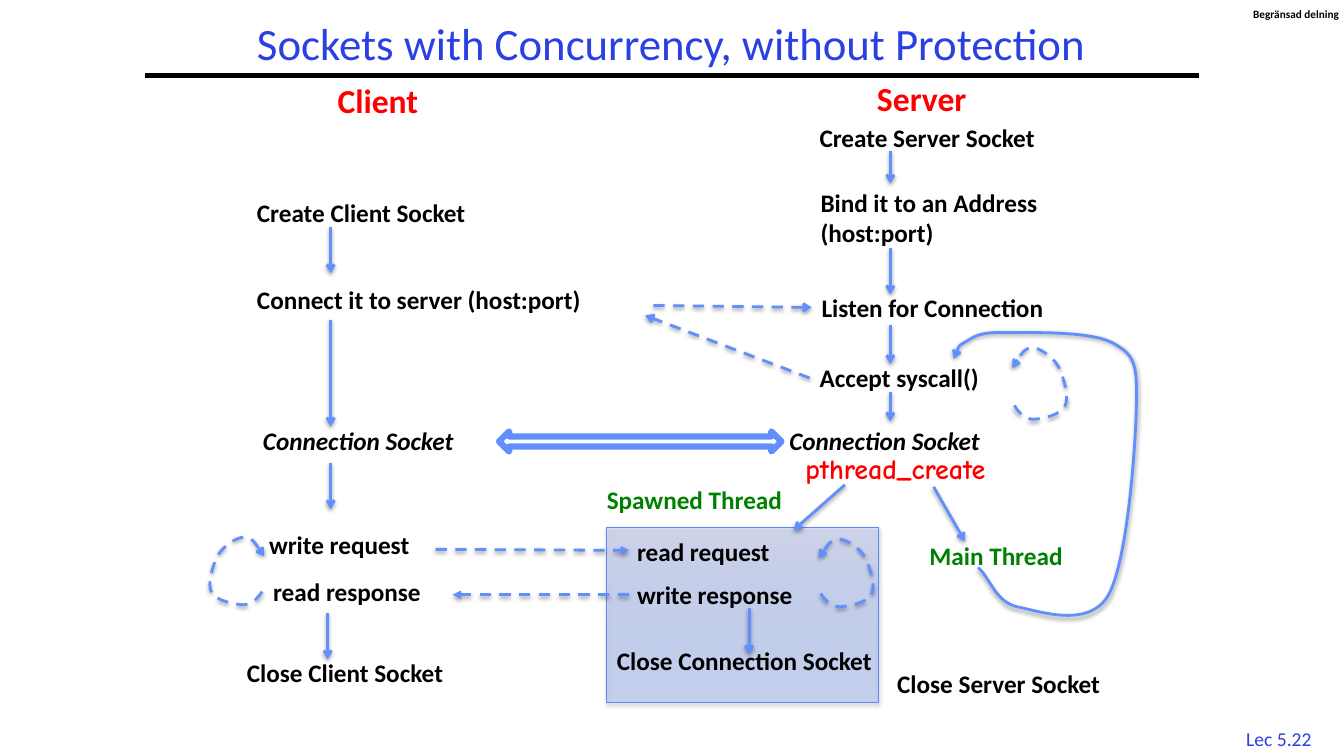
from lxml import etree
from pptx import Presentation
from pptx.dml.color import RGBColor
from pptx.enum.dml import MSO_LINE
from pptx.enum.shapes import MSO_CONNECTOR, MSO_SHAPE
from pptx.enum.text import MSO_ANCHOR, MSO_AUTO_SIZE, PP_ALIGN
from pptx.oxml.ns import qn
from pptx.util import Emu, Pt

PX = 9144
STRAIGHT = MSO_CONNECTOR.STRAIGHT
RECTANGLE = MSO_SHAPE.RECTANGLE
DOUBLE_ARROW = MSO_SHAPE.LEFT_RIGHT_ARROW
DASH = MSO_LINE.DASH
MIDDLE, TOP = MSO_ANCHOR.MIDDLE, MSO_ANCHOR.TOP
LEFT, CENTER = PP_ALIGN.LEFT, PP_ALIGN.CENTER
GROW, FIXED = MSO_AUTO_SIZE.SHAPE_TO_FIT_TEXT, MSO_AUTO_SIZE.NONE

BLACK, WHITE, RED, GREEN = "000000", "FFFFFF", "FF0000", "008000"
TITLE_BLUE, ARROW_BLUE = "2A40E2", "618FFD"
LOOP_WIDTH, LOOP_HEIGHT = 54, 67
LOOP_CURVE = [(2, 54), (6, 60), (11, 66), (20, 67), (28, 67), (48, 63), (52, 55),
              (57, 47), (51, 28), (46, 18), (40, 8), (27, 0), (20, 0),
              (12, 0), (6, 10), (0, 19)]
ACCEPT_AGAIN_CURVE = [
    (970, 563), (982, 573), (987, 597), (1009, 602), (1030, 606), (1079, 624), (1099, 591),
    (1118, 558), (1126, 447), (1127, 406), (1128, 364), (1127, 353), (1105, 341),
    (1084, 328), (1021, 330), (997, 330), (972, 329), (966, 334), (958, 339),
    (950, 343), (948, 350), (946, 356)]

STEPS = [
    ("Create Client Socket", 245, 191, 266, {}),
    ("Connect it to server (host:port)", 245, 277, 392, {}),
    ("Connection Socket", 251, 417, 249, {"italic": True}),
    ("write request", 257, 520, 177, {}),
    ("read response", 261, 567, 191, {}),
    ("Close Client Socket", 235, 647, 257, {}),
    ("Create Server Socket", 803, 116, 274, {}),
    ("Bind it to an Address\n(host:port)", 804, 181, 280, {"height": 71}),
    ("Listen for Connection", 805, 285, 280, {}),
    ("Accept syscall()", 803, 355, 213, {}),
    ("Connection Socket", 773, 417, 249, {"italic": True}),
    ("read request", 622, 527, 177, {}),
    ("write response", 622, 570, 199, {}),
    ("Close Connection Socket", 602, 635, 294, {"height": 71, "wrap": True}),
    ("Close Server Socket", 880, 658, 270, {}),
    ("Spawned Thread", 592, 476, 222, {"color": GREEN}),
    ("Main Thread", 912, 531, 169, {"color": GREEN}),
]
DOWN_ARROWS = [
    (328, 225, 271), (328, 317, 423), (328, 459, 505), (325, 608, 654),
    (883, 150, 182), (883, 246, 292), (883, 322, 361), (883, 389, 418), (743, 603, 649),
]
THREAD_ARROWS = [(838, 481, 787, 526), (926, 483, 957, 537)]
MESSAGES = [
    (648, 303, 805, 305, "arrow"), (803, 375, 640, 313, "arrow"),
    (432, 545, 624, 546, "triangle"), (624, 590, 449, 590, "triangle"),
]


def px(*lengths):
    return [Emu(round(length * PX)) for length in lengths]


def rgb(color):
    return RGBColor.from_string(color)


def add_shadow(shape, alpha=38, distance=1.6):
    effects = etree.SubElement(shape._element.spPr, qn("a:effectLst"))
    shadow = etree.SubElement(effects, qn("a:outerShdw"), blurRad=str(Pt(3.1)),
                              dist=str(Pt(distance)), dir="5400000", rotWithShape="0")
    color = etree.SubElement(shadow, qn("a:srgbClr"), val=BLACK)
    etree.SubElement(color, qn("a:alpha"), val=str(alpha * 1000))


def style_line(shape, color, width, dashed=False, arrow=None):
    shape.line.color.rgb = rgb(color)
    shape.line.width = Pt(width)
    if dashed:
        shape.line.dash_style = DASH
    if arrow:
        outline = shape._element.spPr.find(qn("a:ln"))
        etree.SubElement(outline, qn("a:tailEnd"), type=arrow)


def add_text(page, text, left, top, width, height=40, size=18, color=BLACK, bold=True,
             italic=False, font="Calibri", wrap=False, align=LEFT, anchor=TOP,
             auto_size=GROW, inset=True, spacing=None):
    box = page.shapes.add_textbox(*px(left, top, width, height))
    frame = box.text_frame
    frame.word_wrap = wrap
    frame.auto_size = auto_size
    frame.vertical_anchor = anchor
    if not inset:
        frame.margin_left = frame.margin_right = frame.margin_top = frame.margin_bottom = 0
    for index, line in enumerate(text.split("\n")):
        para = frame.add_paragraph() if index else frame.paragraphs[0]
        para.alignment = align
        para.line_spacing = spacing
        span = para.add_run()
        span.text = line
        span.font.name = font
        span.font.size = Pt(size)
        span.font.bold = bold
        span.font.italic = italic
        span.font.color.rgb = rgb(color)


def add_line(page, start_x, start_y, end_x, end_y, color=ARROW_BLUE, width=2,
             dashed=False, arrow="arrow", shadow=True):
    line = page.shapes.add_connector(STRAIGHT, *px(start_x, start_y, end_x, end_y))
    style_line(line, color, width, dashed, arrow)
    if shadow:
        add_shadow(line)
    else:
        etree.SubElement(line._element.spPr, qn("a:effectLst"))


def add_curve(page, controls, dashed=False):
    points = [px(*point) for point in controls]
    builder = page.shapes.build_freeform(*points[0], scale=1.0)
    builder.add_line_segments(points[3::3], close=False)
    curve = builder.convert_to_shape()
    segments = curve._element.spPr.findall(".//" + qn("a:lnTo"))
    for index, segment in enumerate(segments):
        bend = etree.Element(qn("a:cubicBezTo"))
        for x, y in points[3 * index + 1:3 * index + 4]:
            etree.SubElement(bend, qn("a:pt"), x=str(x - curve.left), y=str(y - curve.top))
        segment.getparent().replace(segment, bend)
    curve.fill.background()
    style_line(curve, ARROW_BLUE, 2, dashed, "arrow")
    add_shadow(curve)


def add_loop(page, left, top, height=LOOP_HEIGHT, mirrored=False):
    controls = [(left + (LOOP_WIDTH - x if mirrored else x), top + y * height / LOOP_HEIGHT)
                for x, y in LOOP_CURVE]
    add_curve(page, controls, dashed=True)


def add_thread_panel(page):
    panel = page.shapes.add_shape(RECTANGLE, *px(602, 523, 269, 174))
    panel.fill.gradient()
    panel.fill.gradient_angle = 90
    nodes = panel._element.spPr.findall(".//" + qn("a:gs"))
    stops = panel.fill.gradient_stops
    for stop, node, color, alpha in zip(stops, nodes, ("5F8EFF", "C4D0FF"), (26, 46)):
        stop.color.rgb = rgb(color)
        etree.SubElement(node[0], qn("a:alpha"), val=str(alpha * 1000))
    style_line(panel, "5B8AFB", 0.75)
    add_shadow(panel, alpha=35, distance=1.8)


def add_socket_link(page):
    link = page.shapes.add_shape(DOUBLE_ARROW, *px(495, 428, 280, 20))
    link.shadow.inherit = False
    link.fill.solid()
    link.fill.fore_color.rgb = rgb(WHITE)
    style_line(link, ARROW_BLUE, 4.5)


def main():
    deck = Presentation()
    deck.slide_width, deck.slide_height = px(1333, 750)
    page = deck.slides.add_slide(deck.slide_layouts[6])

    add_text(page, "Lec 5.22", 1220, 716, 97, 33, size=14, color=TITLE_BLUE, bold=False,
             align=CENTER)
    add_line(page, 144, 75, 1189, 75, color=BLACK, width=3, arrow=None, shadow=False)
    add_text(page, "Begränsad delning", 1243, 7, 86, 13, size=8, wrap=True, inset=False)
    add_text(page, "Sockets with Concurrency, without Protection", 144, 17, 1044, 58, size=32,
             color=TITLE_BLUE, bold=False, wrap=True, align=CENTER, anchor=MIDDLE,
             auto_size=FIXED, spacing=0.9)
    add_thread_panel(page)
    add_text(page, "Client", 325, 74, 114, 50, size=24, color=RED)
    add_text(page, "Server", 860, 72, 130, 50, size=24, color=RED)
    for text, left, top, width, options in STEPS:
        add_text(page, text, left, top, width, **options)
    add_text(page, "pthread_create", 789, 443, 241, 44, size=20, color=RED,
             font="Comic Neue", wrap=True)

    for x, top, bottom in DOWN_ARROWS:
        add_line(page, x, top, x, bottom)
    for ends in THREAD_ARROWS:
        add_line(page, *ends)
    for *ends, arrow in MESSAGES:
        add_line(page, *ends, dashed=True, arrow=arrow)
    add_socket_link(page)
    add_curve(page, ACCEPT_AGAIN_CURVE)
    add_loop(page, 1004, 345, height=71)
    add_loop(page, 812, 535)
    add_loop(page, 208, 533, mirrored=True)
    deck.save("out.pptx")


if __name__ == "__main__":
    main()
